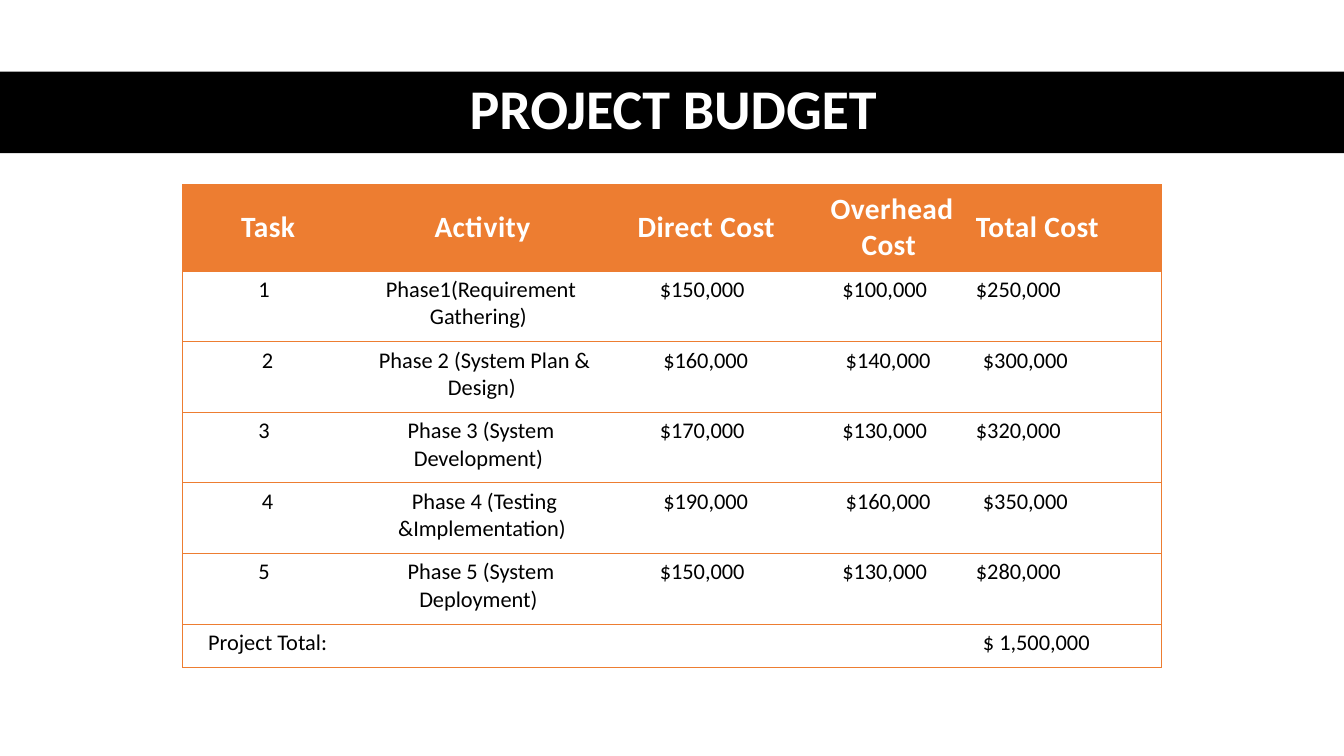
from dataclasses import dataclass

from lxml import etree
from pptx import Presentation
from pptx.dml.color import RGBColor
from pptx.enum.shapes import MSO_SHAPE
from pptx.enum.text import MSO_ANCHOR, PP_ALIGN
from pptx.oxml.ns import qn
from pptx.util import Inches, Pt

ORANGE, BLACK, WHITE = "ED7D31", "000000", "FFFFFF"
FONT = "Calibri"
NBSP = "\u00a0"
NO_STYLE = "{2D5ABB26-0587-4C30-8999-92F81FD0307C}"
COLUMN_WIDTHS = (1.78, 2.47, 1.97, 1.65, 1.84)
HEADINGS = ("Task", "Activity", "Direct Cost", "Overhead Cost", "Total Cost")
PHASES = (
    ("1", "Phase1(Requirement Gathering)", "$150,000", "$100,000", "$250,000"),
    ("2", "Phase 2 (System Plan & Design)", "$160,000", "$140,000", "$300,000"),
    ("3", "Phase 3 (System Development)", "$170,000", "$130,000", "$320,000"),
    ("4", "Phase 4 (Testing &Implementation)", "$190,000", "$160,000", "$350,000"),
    ("5", "Phase 5 (System Deployment)", "$150,000", "$130,000", "$280,000"),
)
TOTAL = ("Project Total:", "", "", "", "$ 1,500,000")


@dataclass(frozen=True)
class BudgetRow:
    """One table row with its look."""
    texts: tuple[str, ...]
    height: float
    left_margin: float = 0
    right_margin: float = 0.11
    size: int = 16
    color: str = BLACK
    fill: str | None = None
    bold: bool = False
    spacing: int = 0
    anchor: MSO_ANCHOR = MSO_ANCHOR.TOP


def rgb(color: str) -> RGBColor:
    """Turn a hex string into a colour."""
    return RGBColor.from_string(color)


def write(paragraph, text: str, size: int, color: str, bold: bool):
    """Add a styled run that ends in a non-breaking space."""
    run = paragraph.add_run()
    run.text = text + NBSP
    run.font.name, run.font.size, run.font.bold = FONT, Pt(size), bold
    run.font.color.rgb = rgb(color)
    return run


def add_border(cell, side: str) -> None:
    """Draw a thin orange line on side L, R, T or B of a cell."""
    line = etree.SubElement(cell._tc.get_or_add_tcPr(), qn(f"a:ln{side}"), w=str(Pt(0.5)))
    fill = etree.SubElement(line, qn("a:solidFill"))
    etree.SubElement(fill, qn("a:srgbClr"), val=ORANGE)


def fill_cell(cell, row: BudgetRow, column: int) -> None:
    """Write and style one cell of the budget table."""
    last = len(COLUMN_WIDTHS) - 1
    for side in ("L" if column == 0 else "") + ("R" if column == last else "") + "TB":
        add_border(cell, side)
    if row.fill:
        cell.fill.solid()
        cell.fill.fore_color.rgb = rgb(row.fill)
    else:
        cell.fill.background()
    cell.vertical_anchor = row.anchor
    cell.margin_left, cell.margin_right = Inches(row.left_margin), Inches(row.right_margin)
    cell.margin_top = cell.margin_bottom = Inches(0.05)
    paragraph = cell.text_frame.paragraphs[0]
    paragraph.alignment = PP_ALIGN.LEFT if column == last else PP_ALIGN.CENTER
    if row.texts[column]:
        run = write(paragraph, row.texts[column], row.size, row.color, row.bold)
        run.font._element.set("spc", str(row.spacing))


def add_budget(slide, rows: list[BudgetRow]) -> None:
    """Add the budget table."""
    frame = slide.shapes.add_table(
        len(rows), len(COLUMN_WIDTHS), Inches(1.81), Inches(1.83),
        Inches(sum(COLUMN_WIDTHS)), Inches(sum(row.height for row in rows)))
    table = frame.table
    table.horz_banding = False
    table._tbl.tblPr.find(qn("a:tableStyleId")).text = NO_STYLE
    for column, width in zip(table.columns, COLUMN_WIDTHS):
        column.width = Inches(width)
    for index, row in enumerate(rows):
        table.rows[index].height = Inches(row.height)
        for column in range(len(COLUMN_WIDTHS)):
            fill_cell(table.cell(index, column), row, column)


def add_title(slide, text: str) -> None:
    """Add the black band and the title over it."""
    band = slide.shapes.add_shape(
        MSO_SHAPE.RECTANGLE, 0, Inches(0.71), Inches(13.33), Inches(0.81))
    band.shadow.inherit = False
    band.fill.solid()
    band.fill.fore_color.rgb = rgb(BLACK)
    band.line.fill.background()
    box = slide.shapes.add_textbox(Inches(0.61), Inches(0.7), Inches(12.26), Inches(0.81))
    frame = box.text_frame
    frame.word_wrap = True
    frame.vertical_anchor = MSO_ANCHOR.MIDDLE
    paragraph = frame.paragraphs[0]
    paragraph.alignment, paragraph.line_spacing = PP_ALIGN.CENTER, 0.9
    write(paragraph, text, 40, WHITE, True)


def main() -> None:
    """Build and save the slide."""
    deck = Presentation()
    deck.slide_width, deck.slide_height = Inches(13.33), Inches(7.5)
    slide = deck.slides.add_slide(deck.slide_layouts[6])
    add_title(slide, "PROJECT BUDGET")
    header = BudgetRow(HEADINGS, 0.86, right_margin=0.01, size=21, color=WHITE,
                       fill=ORANGE, bold=True, spacing=30, anchor=MSO_ANCHOR.MIDDLE)
    phases = [BudgetRow(texts, 0.7, left_margin=0.07 * (index % 2))
              for index, texts in enumerate(PHASES)]
    add_budget(slide, [header, *phases, BudgetRow(TOTAL, 0.43, left_margin=0.07)])
    deck.save("out.pptx")


main()
